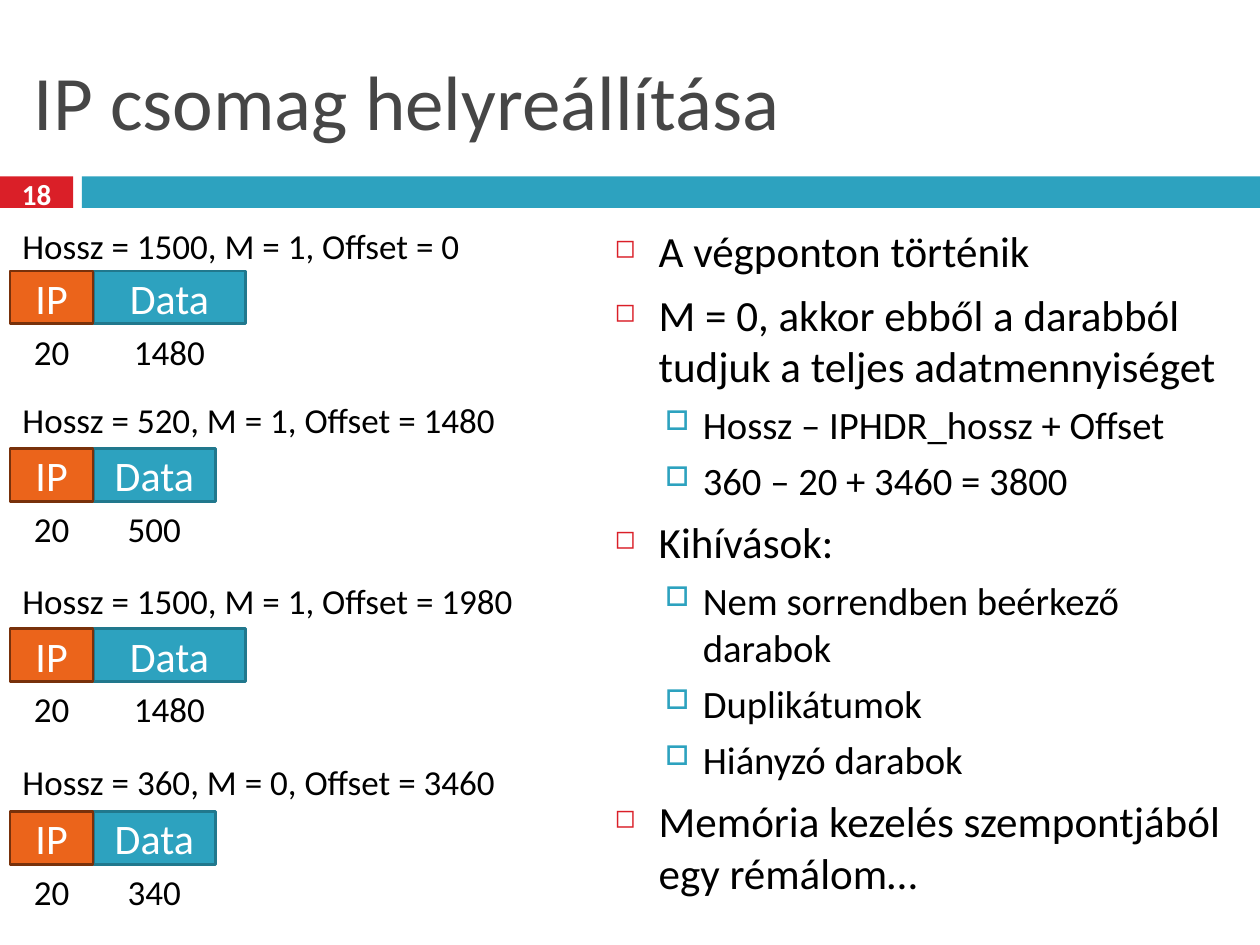
from dataclasses import dataclass

from lxml import etree
from pptx import Presentation
from pptx.dml.color import RGBColor
from pptx.enum import shapes, text
from pptx.oxml import ns
from pptx.util import Inches, Pt


@dataclass(frozen=True)
class Theme:
    font: str = "Calibri"
    title_size: float = 44
    number_size: float = 16.6
    bar_size: float = 24
    note_size: float = 20
    title: str = "464646"
    ink: str = "000000"
    white: str = "FFFFFF"
    red: str = "DA1F28"
    teal: str = "2DA2BF"
    teal_edge: str = "21788D"
    orange: str = "EB641B"
    orange_edge: str = "78310B"


THEME = Theme()


@dataclass(frozen=True)
class Box:
    left: float
    top: float
    width: float
    height: float

    def lengths(self) -> tuple:
        return tuple(Inches(n) for n in (self.left, self.top, self.width, self.height))


@dataclass(frozen=True)
class BulletLevel:
    size: float
    margin: float
    hanging: float
    before: float
    char: str
    color: str
    percent: int


@dataclass(frozen=True)
class Fragment:
    heading: str
    heading_top: float
    heading_width: float
    bar_top: float
    data_width: float
    data_length: str
    length_width: float


LEVELS = (
    BulletLevel(24.6, 0.35, 0.35, 7, "◻", THEME.red, 60),
    BulletLevel(22.1, 0.7, 0.3, 5.5, "□", THEME.teal, 70),
)
POINTS = (
    (0, "A végponton történik"),
    (0, "M = 0, akkor ebből a darabból tudjuk a teljes adatmennyiséget"),
    (1, "Hossz – IPHDR_hossz + Offset"),
    (1, "360 – 20 + 3460 = 3800"),
    (0, "Kihívások:"),
    (1, "Nem sorrendben beérkező darabok"),
    (1, "Duplikátumok"),
    (1, "Hiányzó darabok"),
    (0, "Memória kezelés szempontjából egy rémálom…"),
)
FRAGMENTS = (
    Fragment("Hossz = 1500, M = 1, Offset = 0", 1.73, 3.97, 2.15, 1.21, "1480", 0.83),
    Fragment("Hossz = 520, M = 1, Offset = 1480", 3.11, 4.28, 3.56, 0.97, "500", 0.67),
    Fragment("Hossz = 1500, M = 1, Offset = 1980", 4.55, 4.44, 4.99, 1.21, "1480", 0.83),
    Fragment("Hossz = 360, M = 0, Offset = 3460", 5.99, 4.28, 6.44, 0.97, "340", 0.67),
)
LEFT, HEADER_WIDTH, BAR_HEIGHT, NOTE_HEIGHT = 0.08, 0.66, 0.42, 0.44
HEADER_NOTE_WIDTH = 0.51


def write(paragraph, words: str, size: float, color: str, bold: bool = False) -> None:
    run = paragraph.add_run()
    run.text = words
    run.font.name = THEME.font
    run.font.size = Pt(size)
    run.font.bold = bold
    run.font.color.rgb = RGBColor.from_string(color)


def add_bar(parent, box: Box, fill: str, edge: str = "", label: str = "") -> None:
    bar = parent.add_shape(shapes.MSO_SHAPE.RECTANGLE, *box.lengths())
    bar.shadow.inherit = False
    bar.fill.solid()
    bar.fill.fore_color.rgb = RGBColor.from_string(fill)
    if edge:
        bar.line.color.rgb = RGBColor.from_string(edge)
        bar.line.width = Pt(1.5)
    else:
        bar.line.fill.background()
    if label:
        bar.text_frame.vertical_anchor = text.MSO_ANCHOR.MIDDLE
        paragraph = bar.text_frame.paragraphs[0]
        paragraph.alignment = text.PP_ALIGN.CENTER
        write(paragraph, label, THEME.bar_size, THEME.white)


def add_line(parent, box: Box, words: str, size: float, color: str,
             centred: bool = False, bold: bool = False, middle: bool = False) -> None:
    """Add one line of text: middle anchors it in a fixed box, else the box fits it."""
    frame = parent.add_textbox(*box.lengths()).text_frame
    frame.word_wrap = middle
    if middle:
        frame.vertical_anchor = text.MSO_ANCHOR.MIDDLE
    else:
        frame.auto_size = text.MSO_AUTO_SIZE.SHAPE_TO_FIT_TEXT
    paragraph = frame.paragraphs[0]
    paragraph.alignment = text.PP_ALIGN.CENTER if centred else text.PP_ALIGN.LEFT
    write(paragraph, words, size, color, bold)


def set_bullet(paragraph, level: BulletLevel) -> None:
    paragraph.space_before = Pt(level.before)
    props = paragraph._p.get_or_add_pPr()
    props.set("marL", str(Inches(level.margin)))
    props.set("indent", str(-Inches(level.hanging)))
    color = etree.SubElement(props, ns.qn("a:buClr"))
    etree.SubElement(color, ns.qn("a:srgbClr"), val=level.color)
    etree.SubElement(props, ns.qn("a:buSzPct"), val=str(level.percent * 1000))
    etree.SubElement(props, ns.qn("a:buChar"), char=level.char)


def add_points(parent, box: Box) -> None:
    frame = parent.add_textbox(*box.lengths()).text_frame
    frame.word_wrap = True
    for index, (depth, words) in enumerate(POINTS):
        paragraph = frame.add_paragraph() if index else frame.paragraphs[0]
        paragraph.level = depth
        set_bullet(paragraph, LEVELS[depth])
        write(paragraph, words, LEVELS[depth].size, THEME.ink)


def add_fragment(parent, fragment: Fragment) -> None:
    """Draw a heading over a packet, with each part's length centred below it."""
    add_line(parent, Box(LEFT, fragment.heading_top, fragment.heading_width, NOTE_HEIGHT),
             fragment.heading, THEME.note_size, THEME.ink)
    packet = parent.add_group_shape().shapes
    data_left = LEFT + HEADER_WIDTH
    parts = (
        (data_left, fragment.data_width, THEME.teal, THEME.teal_edge, "Data",
         fragment.data_length, fragment.length_width),
        (LEFT, HEADER_WIDTH, THEME.orange, THEME.orange_edge, "IP",
         "20", HEADER_NOTE_WIDTH),
    )
    for left, width, fill, edge, label, length, note_width in parts:
        add_bar(packet, Box(left, fragment.bar_top, width, BAR_HEIGHT), fill, edge, label)
        note = Box(left + (width - note_width) / 2, fragment.bar_top + BAR_HEIGHT,
                   note_width, NOTE_HEIGHT)
        add_line(packet, note, length, THEME.note_size, THEME.ink, centred=True)


def main() -> None:
    deck = Presentation()
    deck.slide_width, deck.slide_height = Inches(10), Inches(7.5)
    canvas = deck.slides.add_slide(deck.slide_layouts[6]).shapes
    add_bar(canvas, Box(0, 1.4, 0.58, 0.25), THEME.red)
    add_bar(canvas, Box(0.65, 1.4, 9.35, 0.25), THEME.teal)
    add_line(canvas, Box(0.17, 0.25, 9.67, 1.08), "IP csomag helyreállítása",
             THEME.title_size, THEME.title, middle=True)
    add_line(canvas, Box(0, 1.37, 0.58, 0.33), "18", THEME.number_size, THEME.white,
             centred=True, bold=True, middle=True)
    add_points(canvas, Box(4.78, 1.73, 5.06, 5.6))
    for fragment in FRAGMENTS:
        add_fragment(canvas, fragment)
    deck.save("out.pptx")


if __name__ == "__main__":
    main()
